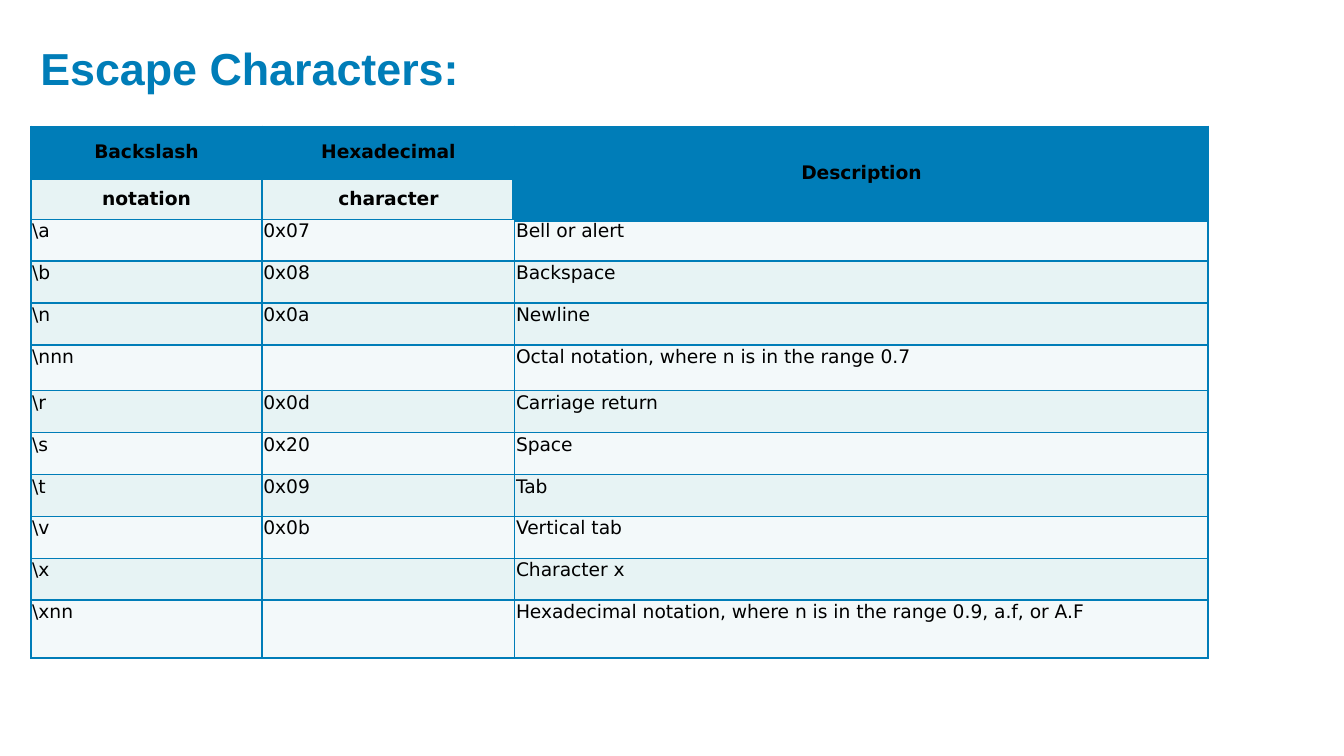
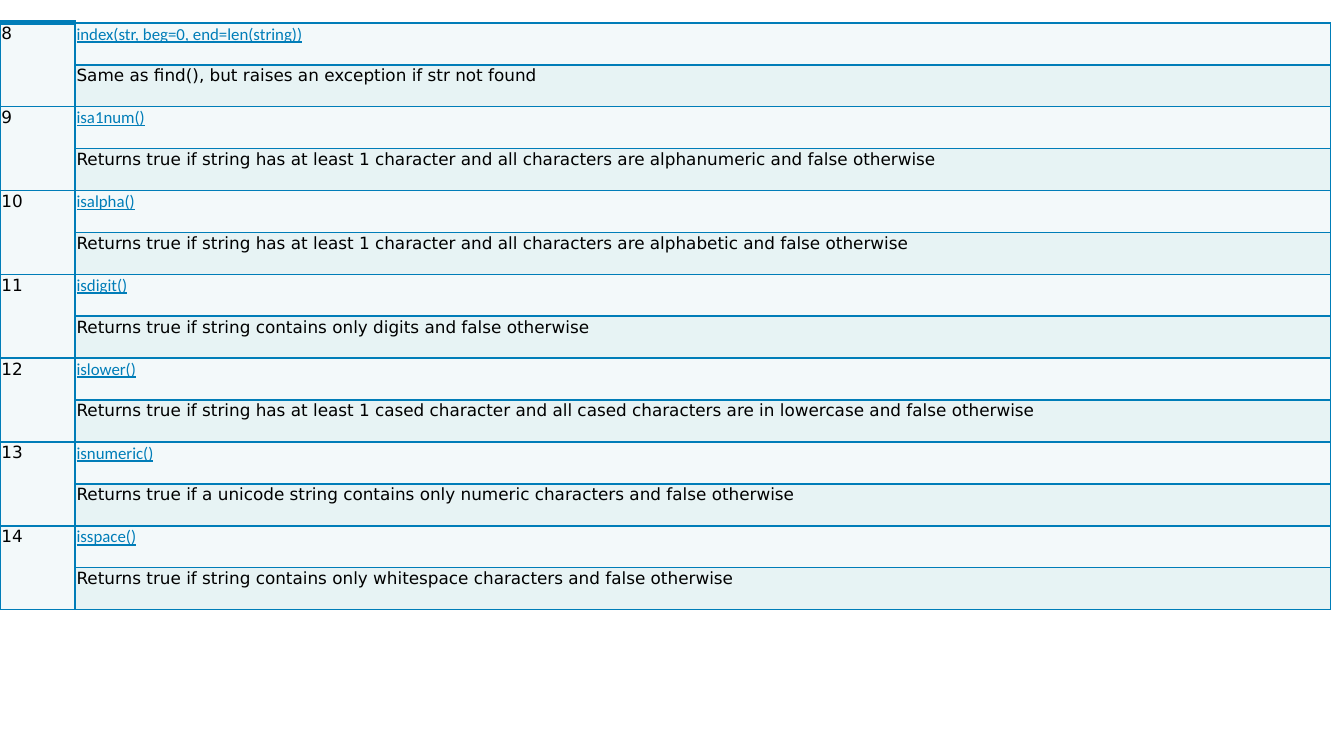
from lxml import etree
from pptx import Presentation
from pptx.dml.color import RGBColor
from pptx.enum.text import MSO_ANCHOR, PP_ALIGN
from pptx.oxml.ns import qn
from pptx.util import Inches, Pt

MIDDLE, TOP = MSO_ANCHOR.MIDDLE, MSO_ANCHOR.TOP
CENTER, LEFT = PP_ALIGN.CENTER, PP_ALIGN.LEFT

COLORS = {"blue": "007DB8", "pale": "F3F9FA", "tint": "E7F3F4", "ink": "000000"}
HEAD, BODY, LINK = "Arial", "DejaVu Sans", "Calibri"
THIN, THICK = 1, 3
ROW = 4.37 / 14

ESCAPES = [
    (r"\a", "0x07", "Bell or alert", "pale"),
    (r"\b", "0x08", "Backspace", "tint"),
    (r"\n", "0x0a", "Newline", "tint"),
    (r"\nnn", "", "Octal notation, where n is in the range 0.7", "pale"),
    (r"\r", "0x0d", "Carriage return", "tint"),
    (r"\s", "0x20", "Space", "pale"),
    (r"\t", "0x09", "Tab", "tint"),
    (r"\v", "0x0b", "Vertical tab", "pale"),
    (r"\x", "", "Character x", "tint"),
    (r"\xnn", "", "Hexadecimal notation, where n is in the range 0.9, a.f, or A.F", "pale"),
]

FIRST = 8
METHODS = [
    ("index(str, beg=0, end=len(string))",
     "Same as find(), but raises an exception if str not found"),
    ("isa1num()",
     "Returns true if string has at least 1 character and all characters are alphanumeric and false otherwise"),
    ("isalpha()",
     "Returns true if string has at least 1 character and all characters are alphabetic and false otherwise"),
    ("isdigit()",
     "Returns true if string contains only digits and false otherwise"),
    ("islower()",
     "Returns true if string has at least 1 cased character and all cased characters are in lowercase and false otherwise"),
    ("isnumeric()",
     "Returns true if a unicode string contains only numeric characters and false otherwise"),
    ("isspace()",
     "Returns true if string contains only whitespace characters and false otherwise"),
]


def rgb(name):
    return RGBColor.from_string(COLORS[name])


def add_run(para, text, size, font=BODY, color="ink", bold=False, under=False):
    run = para.add_run()
    run.text = text
    run.font.size = Pt(size)
    run.font.name = font
    run.font.color.rgb = rgb(color)
    run.font.bold = bold
    run.font.underline = under


def add_title(slide, text):
    box = slide.shapes.add_textbox(Inches(0.3), Inches(0.3), Inches(8.7), Inches(0.45))
    frame = box.text_frame
    frame.word_wrap = True
    frame.vertical_anchor = MIDDLE
    frame.margin_left = frame.margin_right = 0
    para = frame.paragraphs[0]
    para.line_spacing = 0.9
    add_run(para, text, 24, HEAD, "blue", bold=True)


def add_grid(slide, left, top, cols, rows):
    """Add a plain table with the given column widths and row heights."""
    table = slide.shapes.add_table(
        len(rows), len(cols), Inches(left), Inches(top),
        Inches(sum(cols)), Inches(sum(rows))).table
    table.first_row = table.horz_banding = False
    for col, width in zip(table.columns, cols):
        col.width = Inches(width)
    for row, height in zip(table.rows, rows):
        row.height = Inches(height)
    return table


def paint(cell, fill, thick=""):
    """Fill a cell and rule its sides; thick lists the heavy ones, from LRTB."""
    cell.fill.solid()
    cell.fill.fore_color.rgb = rgb(fill)
    props = cell._tc.get_or_add_tcPr()
    for place, side in enumerate("LRTB"):
        width = THICK if side in thick else THIN
        line = etree.Element(qn("a:ln" + side), w=str(Pt(width)))
        solid = etree.SubElement(line, qn("a:solidFill"))
        etree.SubElement(solid, qn("a:srgbClr"), val=COLORS["blue"])
        props.insert(place, line)


def write(cell, text, size, anchor=TOP, align=LEFT, **style):
    cell.margin_left = cell.margin_right = cell.margin_top = Inches(0.01)
    cell.margin_bottom = 0
    cell.vertical_anchor = anchor
    para = cell.text_frame.paragraphs[0]
    para.alignment = align
    add_run(para, text, size, **style)


def span_rows(table, row, col):
    table.cell(row, col).merge(table.cell(row + 1, col))


def draw_escapes(slide):
    add_title(slide, "Escape Characters:")
    rows = [0.38] + [ROW] * (len(ESCAPES) + 1)
    rows[5], rows[-1] = 0.34, 0.43
    table = add_grid(slide, 0.23, 0.94, [1.72, 1.88, 5.16], rows)
    span_rows(table, 0, 2)
    heads = [
        (0, 0, "Backslash", "blue", "B"),
        (0, 1, "Hexadecimal", "blue", "B"),
        (0, 2, "Description", "blue", "B"),
        (1, 0, "notation", "tint", "T"),
        (1, 1, "character", "tint", "TR"),
    ]
    for row, col, text, fill, thick in heads:
        cell = table.cell(row, col)
        paint(cell, fill, thick)
        write(cell, text, 10, MIDDLE, CENTER, bold=True)
    paint(table.cell(1, 2), "blue", "B")
    for row, (*texts, fill) in enumerate(ESCAPES, 2):
        for col, text in enumerate(texts):
            cell = table.cell(row, col)
            paint(cell, fill, "T" if (row, col) == (2, 2) else "")
            write(cell, text, 10)


def draw_methods(slide):
    table = add_grid(slide, 0, 0.17, [0.56, 9.34], [ROW] * (2 * len(METHODS)))
    for item, (name, about) in enumerate(METHODS):
        row = 2 * item
        span_rows(table, row, 0)
        mark, under = table.cell(row, 0), table.cell(row + 1, 0)
        call, note = table.cell(row, 1), table.cell(row + 1, 1)
        paint(mark, "pale", "" if item else "T")
        paint(under, "pale")
        paint(call, "pale")
        paint(note, "tint")
        write(mark, str(FIRST + item), 9)
        write(call, name, 9, font=LINK, color="blue", under=True)
        write(note, about, 9)


def main():
    deck = Presentation()
    deck.slide_width = Inches(10)
    deck.slide_height = deck.slide_width * 9 // 16
    blank = deck.slide_layouts[6]
    for draw in (draw_escapes, draw_methods):
        draw(deck.slides.add_slide(blank))
    deck.save("out.pptx")


if __name__ == "__main__":
    main()
